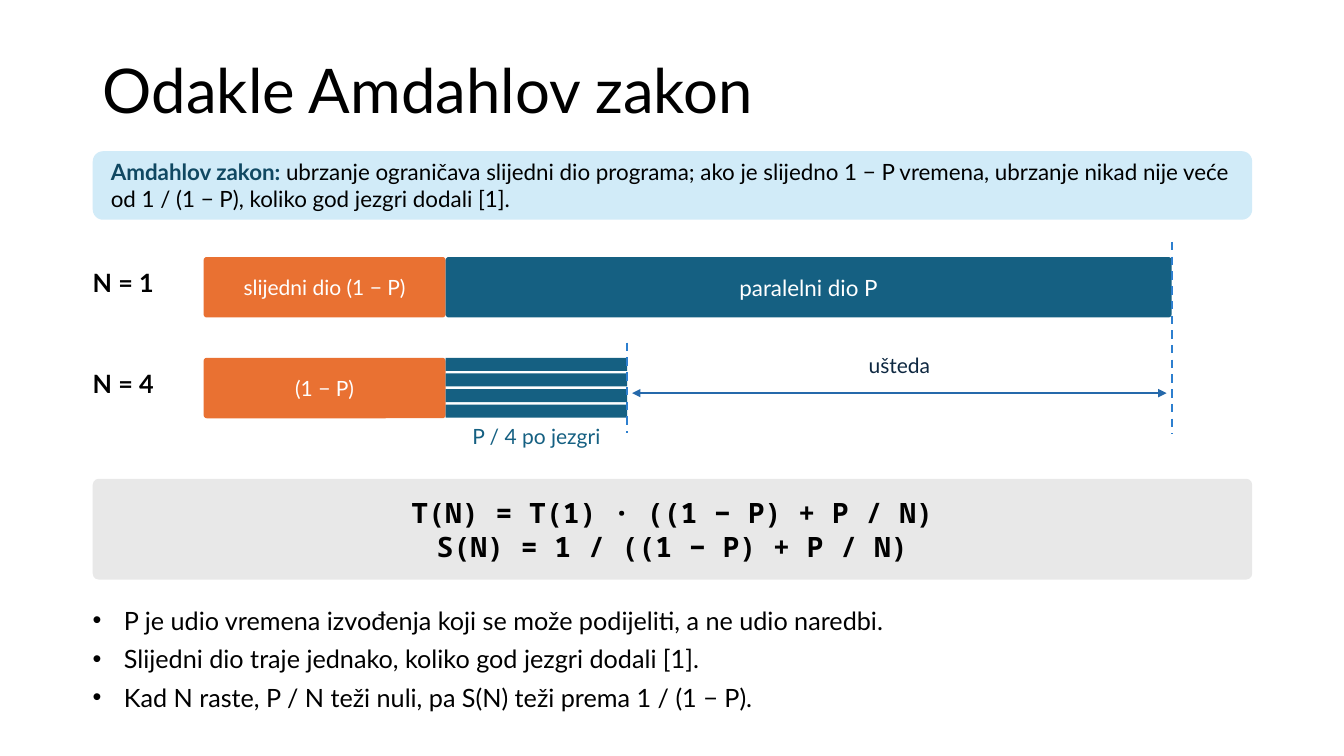
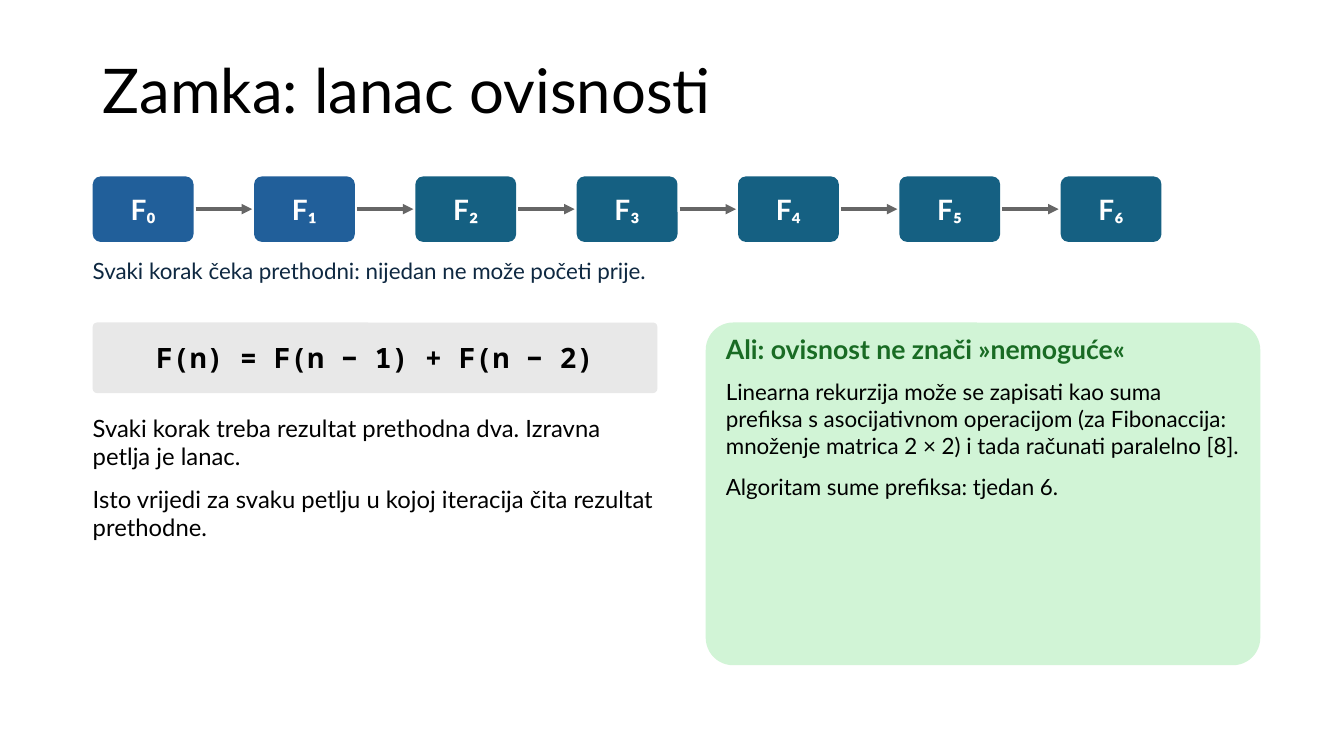
from dataclasses import dataclass, replace

from lxml import etree
from pptx import Presentation
from pptx.dml.color import RGBColor
from pptx.enum.dml import MSO_LINE
from pptx.enum.shapes import MSO_CONNECTOR, MSO_SHAPE
from pptx.enum.text import MSO_ANCHOR, MSO_AUTO_SIZE, PP_ALIGN
from pptx.oxml.ns import qn
from pptx.util import Inches, Pt

LEFT, CENTER = PP_ALIGN.LEFT, PP_ALIGN.CENTER
MIDDLE = MSO_ANCHOR.MIDDLE
FIT_SHAPE, NO_FIT = MSO_AUTO_SIZE.SHAPE_TO_FIT_TEXT, MSO_AUTO_SIZE.NONE
RECT, ROUNDED = MSO_SHAPE.RECTANGLE, MSO_SHAPE.ROUNDED_RECTANGLE
STRAIGHT, DASH = MSO_CONNECTOR.STRAIGHT, MSO_LINE.DASH
TITLE_ONLY = 5


@dataclass(frozen=True)
class Style:
    size: float
    color: str = "000000"
    bold: bool = False
    font: str = "Lato"


@dataclass(frozen=True)
class Theme:
    teal: str = "156082"
    blue: str = "215F9A"
    orange: str = "E97132"
    gray_panel: str = "E8E8E8"
    blue_panel: str = "D1EBF8"
    green_panel: str = "D1F4D6"
    guide: str = "2D7FCF"
    saving: str = "2569AB"
    arrow: str = "666666"
    title: Style = Style(44)
    label: Style = Style(18, bold=True)
    bullet: Style = Style(18)
    body: Style = Style(17)
    text: Style = Style(16)
    term: Style = Style(16, "104862", True)
    heading: Style = Style(19, "196B24", True)
    formula: Style = Style(20, bold=True, font="Noto Sans Mono")
    serial: Style = Style(15, "FFFFFF")
    parallel: Style = Style(16, "FFFFFF")
    node: Style = Style(20, "FFFFFF", True)
    core: Style = Style(15, "156082")
    gain: Style = Style(15, "0E2841")
    caption: Style = Style(16, "0E2841")


THEME = Theme()
MARGIN, CONTENT_WIDTH = 0.92, 11.5
BAR_PADDING, PANEL_PADDING = (0.05, 0.02), (0.15, 0.05)


def inches(*lengths):
    return [Inches(length) for length in lengths]


def add_bullet(paragraph, indent=0.31):
    properties = paragraph._p.get_or_add_pPr()
    properties.set("marL", str(Inches(indent)))
    properties.set("indent", str(-Inches(indent)))
    etree.SubElement(properties, qn("a:buFont")).set("typeface", "Arial")
    etree.SubElement(properties, qn("a:buChar")).set("char", "•")


def write(frame, paragraphs, align=LEFT, space_after=0, bulleted=False):
    """Fill a frame; each paragraph is a list of (text, Style) runs."""
    frame.word_wrap = True
    for index, runs in enumerate(paragraphs):
        paragraph = frame.paragraphs[0] if index == 0 else frame.add_paragraph()
        if bulleted:
            add_bullet(paragraph)
        paragraph.alignment = align
        paragraph.space_after = Pt(space_after)
        for text, style in runs:
            run = paragraph.add_run()
            run.text = text
            run.font.name = style.font
            run.font.size = Pt(style.size)
            run.font.bold = style.bold
            run.font.color.rgb = RGBColor.from_string(style.color)


def set_padding(frame, horizontal, vertical):
    frame.margin_left = frame.margin_right = Inches(horizontal)
    frame.margin_top = frame.margin_bottom = Inches(vertical)


def add_text(slide, box, paragraphs, **layout):
    frame = slide.shapes.add_textbox(*inches(*box)).text_frame
    set_padding(frame, 0, 0)
    write(frame, paragraphs, **layout)
    frame.auto_size = FIT_SHAPE


def add_block(slide, box, fill, paragraphs=(), rounding=None,
              padding=BAR_PADDING, align=CENTER):
    """Add a filled block, square-cornered unless a rounding is given."""
    kind = RECT if rounding is None else ROUNDED
    block = slide.shapes.add_shape(kind, *inches(*box))
    if rounding is not None:
        block.adjustments[0] = rounding
    block.shadow.inherit = False
    block.fill.solid()
    block.fill.fore_color.rgb = RGBColor.from_string(fill)
    block.line.fill.background()
    if paragraphs:
        frame = block.text_frame
        frame.vertical_anchor = MIDDLE
        set_padding(frame, *padding)
        write(frame, paragraphs, align=align)


def add_formula(slide, box, *formulas):
    add_block(slide, box, THEME.gray_panel, [[(formula, THEME.formula)] for formula in formulas],
              rounding=0.06, padding=PANEL_PADDING)


def add_line(slide, start, end, color, width, dashed=False, arrow_ends=()):
    connector = slide.shapes.add_connector(STRAIGHT, *inches(*start, *end))
    line = connector.line
    line.color.rgb = RGBColor.from_string(color)
    line.width = Pt(width)
    if dashed:
        line.dash_style = DASH
    for arrow_end in arrow_ends:
        etree.SubElement(line._get_or_add_ln(), qn(f"a:{arrow_end}")).set("type", "triangle")
    etree.SubElement(connector._element.spPr, qn("a:effectLst"))


def add_titled_slide(deck, heading):
    slide = deck.slides.add_slide(deck.slide_layouts[TITLE_ONLY])
    title = slide.shapes.title
    title.left, title.top, title.width, title.height = inches(MARGIN, 0.4, CONTENT_WIDTH, 1.06)
    frame = title.text_frame
    frame.vertical_anchor = MIDDLE
    frame.auto_size = NO_FIT
    write(frame, [[(heading, THEME.title)]])
    frame.paragraphs[0].line_spacing = 0.9
    return slide


def add_runtime_bars(slide):
    bar_left, bar_height, serial_width, parallel_width = 2.02, 0.6, 2.4, 7.2
    cores, strip_height, strip_gap = 4, 0.13, 0.025
    single_top, multi_top = 2.55, 3.55
    parallel_left = bar_left + serial_width
    share_width = parallel_width / cores
    share_end, full_end = parallel_left + share_width, parallel_left + parallel_width

    rows = [(single_top, "N = 1", "slijedni dio (1 − P)"), (multi_top, "N = 4", "(1 − P)")]
    for top, count, serial in rows:
        add_text(slide, (MARGIN, top + 0.1, 1, 0.45), [[(count, THEME.label)]])
        add_block(slide, (bar_left, top, serial_width, bar_height), THEME.orange,
                  [[(serial, THEME.serial)]], rounding=0.05)
    add_block(slide, (parallel_left, single_top, parallel_width, bar_height), THEME.teal,
              [[("paralelni dio P", THEME.parallel)]], rounding=0.05)
    for core in range(cores):
        top = multi_top + core * (strip_height + strip_gap)
        add_block(slide, (parallel_left, top, share_width, strip_height), THEME.teal)
    add_text(slide, (parallel_left, 4.2, share_width, 0.35),
             [[("P / 4 po jezgri", THEME.core)]], align=CENTER)

    for x, top in [(share_end, multi_top), (full_end, single_top)]:
        add_line(slide, (x, top - 0.15), (x, 4.3), THEME.guide, 1.5, dashed=True)
    add_line(slide, (share_end + 0.05, 3.9), (full_end - 0.05, 3.9), THEME.saving, 1.5,
             arrow_ends=("headEnd", "tailEnd"))
    add_text(slide, (share_end + 0.1, 3.5, full_end - share_end - 0.2, 0.35),
             [[("ušteda", THEME.gain)]], align=CENTER)


def add_dependency_chain(slide):
    top, width, height, pitch, arrow_gap = 1.75, 1, 0.65, 1.6, 0.02
    subscripts = "₀₁₂₃₄₅₆"
    middle = top + height / 2
    for index, subscript in enumerate(subscripts):
        left = MARGIN + index * pitch
        if index:
            add_line(slide, (left - pitch + width + arrow_gap, middle),
                     (left - arrow_gap, middle), THEME.arrow, 2.5, arrow_ends=("tailEnd",))
        add_block(slide, (left, top, width, height), THEME.blue if index < 2 else THEME.teal,
                  [[("F" + subscript, THEME.node)]], rounding=0.12)


def build_amdahl_slide(deck):
    slide = add_titled_slide(deck, "Odakle Amdahlov zakon")
    law = [("Amdahlov zakon: ", THEME.term),
           ("ubrzanje ograničava slijedni dio programa; ako je slijedno 1 − P vremena, "
            "ubrzanje nikad nije veće od 1 / (1 − P), koliko god jezgri dodali [1].", THEME.text)]
    add_block(slide, (MARGIN, 1.5, CONTENT_WIDTH, 0.68), THEME.blue_panel, [law],
              rounding=0.15, padding=PANEL_PADDING, align=LEFT)
    add_runtime_bars(slide)
    add_formula(slide, (MARGIN, 4.75, CONTENT_WIDTH, 1),
                "T(N) = T(1) · ((1 − P) + P / N)", "S(N) = 1 / ((1 − P) + P / N)")
    remarks = [
        "P je udio vremena izvođenja koji se može podijeliti, a ne udio naredbi.",
        "Slijedni dio traje jednako, koliko god jezgri dodali [1].",
        "Kad N raste, P / N teži nuli, pa S(N) teži prema 1 / (1 − P).",
    ]
    add_text(slide, (MARGIN, 6, CONTENT_WIDTH, 1.35),
             [[(remark, THEME.bullet)] for remark in remarks], space_after=6, bulleted=True)


def build_dependency_slide(deck):
    slide = add_titled_slide(deck, "Zamka: lanac ovisnosti")
    add_dependency_chain(slide)
    add_text(slide, (MARGIN, 2.55, CONTENT_WIDTH, 0.4),
             [[("Svaki korak čeka prethodni: nijedan ne može početi prije.", THEME.caption)]])

    add_formula(slide, (MARGIN, 3.2, 5.6, 0.7), "F(n) = F(n − 1) + F(n − 2)")
    explanation = [
        "Svaki korak treba rezultat prethodna dva. Izravna petlja je lanac.",
        "Isto vrijedi za svaku petlju u kojoj iteracija čita rezultat prethodne.",
    ]
    add_text(slide, (MARGIN, 4.1, 5.6, 2.6),
             [[(sentence, THEME.body)] for sentence in explanation], space_after=10)

    add_block(slide, (7, 3.2, 5.5, 3.4), THEME.green_panel, rounding=0.08)
    counterpoint = [
        [("Ali: ovisnost ne znači »nemoguće«", THEME.heading)],
        [("Linearna rekurzija može se zapisati kao suma prefiksa s asocijativnom operacijom "
          "(za Fibonaccija: množenje matrica 2 × 2) i tada računati paralelno [8].", THEME.text)],
        [("Algoritam sume prefiksa: tjedan 6.", THEME.text)],
    ]
    add_text(slide, (7.2, 3.3, 5.1, 3.2), counterpoint, space_after=10)


def main():
    deck = Presentation()
    deck.slide_width, deck.slide_height = inches(13.33, 7.5)
    build_amdahl_slide(deck)
    build_dependency_slide(deck)
    deck.save("out.pptx")


if __name__ == "__main__":
    main()
